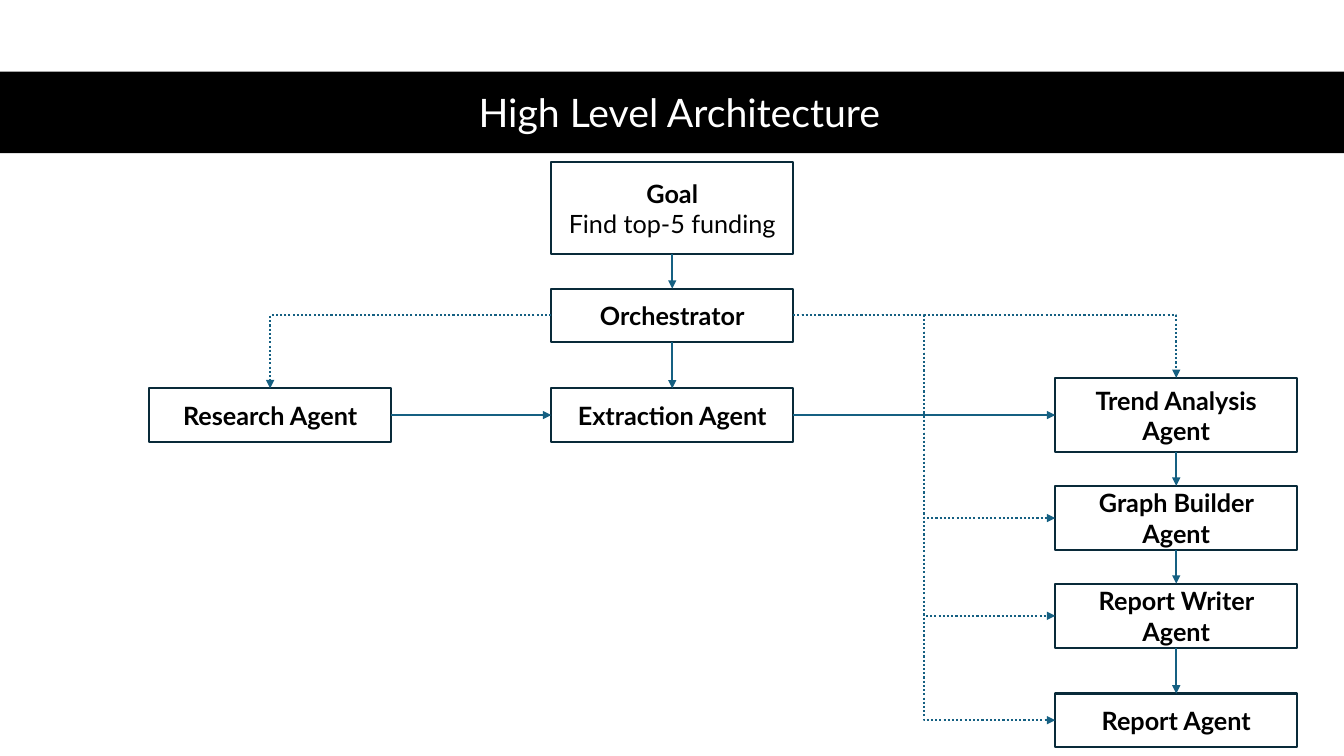
from lxml import etree
from pptx import Presentation
from pptx.dml.color import RGBColor
from pptx.enum.dml import MSO_LINE
from pptx.enum.shapes import MSO_CONNECTOR, MSO_SHAPE
from pptx.enum.text import MSO_ANCHOR, PP_ALIGN
from pptx.oxml.ns import qn
from pptx.util import Pt

RECT = MSO_SHAPE.RECTANGLE
STRAIGHT, ELBOW = MSO_CONNECTOR.STRAIGHT, MSO_CONNECTOR.ELBOW
DOTTED = MSO_LINE.ROUND_DOT
CENTER, MIDDLE = PP_ALIGN.CENTER, MSO_ANCHOR.MIDDLE
TOP, LEFT, BOTTOM, RIGHT = range(4)

COLORS = {"band": "000000", "title": "FFFFFF", "text": "000000",
          "border": "092A39", "arrow": "156082"}
BOX_WIDTH = 172.8
LEFT_COL, MID_COL, RIGHT_COL = 106.6, 393.8, 753.8


class Diagram:
    font = "Lato"
    line_width = 1.5

    def __init__(self, prs):
        self.s = prs.slides.add_slide(prs.slide_layouts[5])

    def color(self, name):
        return RGBColor.from_string(COLORS[name])

    def set_text(self, sp, lines, size, color, bold_first):
        tf = sp.text_frame
        tf.word_wrap = True
        tf.vertical_anchor = MIDDLE
        tf.text = "\n".join(lines)
        for i, p in enumerate(tf.paragraphs):
            p.alignment = CENTER
            p.font.name = self.font
            p.font.size = Pt(size)
            p.font.bold = bold_first and i == 0
            p.font.color.rgb = self.color(color)

    def title(self, text):
        sp = self.s.shapes.title
        sp.left, sp.top, sp.width, sp.height = Pt(43.9), Pt(50.4), Pt(882.7), Pt(58.3)
        self.set_text(sp, [text], 28, "title", False)

    def band(self, top, width, height):
        sp = self.s.shapes.add_shape(RECT, 0, Pt(top), Pt(width), Pt(height))
        sp.shadow.inherit = False
        sp.fill.solid()
        sp.fill.fore_color.rgb = self.color("band")
        sp.line.fill.background()
        self.s.shapes.title._element.addprevious(sp._element)

    def box(self, left, top, height, *lines):
        sp = self.s.shapes.add_shape(RECT, Pt(left), Pt(top), Pt(BOX_WIDTH), Pt(height))
        sp.shadow.inherit = False
        sp.fill.background()
        sp.line.color.rgb = self.color("border")
        sp.line.width = Pt(self.line_width)
        self.set_text(sp, lines, 18, "text", True)
        return sp

    def arrow(self, start, start_side, end, end_side, kind=STRAIGHT):
        cxn = self.s.shapes.add_connector(kind, 0, 0, 0, 0)
        cxn.begin_connect(start, start_side)
        cxn.end_connect(end, end_side)
        cxn.line.color.rgb = self.color("arrow")
        cxn.line.width = Pt(self.line_width)
        if kind == ELBOW:
            cxn.line.dash_style = DOTTED
            if end_side == TOP:
                cxn._element.spPr.find(qn("a:prstGeom")).set("prst", "bentConnector2")
        ln = cxn._element.spPr.find(qn("a:ln"))
        etree.SubElement(ln, qn("a:tailEnd"), type="triangle")
        etree.SubElement(cxn._element.spPr, qn("a:effectLst"))


def main():
    prs = Presentation()
    prs.slide_width, prs.slide_height = Pt(960), Pt(540)
    d = Diagram(prs)
    d.title("High Level Architecture")
    d.band(51.1, 960, 58.3)

    goal = d.box(MID_COL, 115.9, 65.8, "Goal", "Find top-5 funding")
    orchestrator = d.box(MID_COL, 206.2, 38.2, "Orchestrator")
    research = d.box(LEFT_COL, 277.4, 38.2, "Research Agent")
    extraction = d.box(MID_COL, 277.4, 38.2, "Extraction Agent")
    trend = d.box(RIGHT_COL, 269.9, 53.2, "Trend Analysis Agent")
    graph = d.box(RIGHT_COL, 347, 46.1, "Graph Builder Agent")
    writer = d.box(RIGHT_COL, 416.9, 46.1, "Report Writer Agent")
    report = d.box(RIGHT_COL, 495.4, 38.2, "Report Agent")

    for chain in ([goal, orchestrator, extraction], [trend, graph, writer, report]):
        for upper, lower in zip(chain, chain[1:]):
            d.arrow(upper, BOTTOM, lower, TOP)
    d.arrow(research, RIGHT, extraction, LEFT)
    d.arrow(extraction, RIGHT, trend, LEFT)

    d.arrow(orchestrator, LEFT, research, TOP, ELBOW)
    d.arrow(orchestrator, RIGHT, trend, TOP, ELBOW)
    for agent in (graph, writer, report):
        d.arrow(orchestrator, RIGHT, agent, LEFT, ELBOW)

    prs.save("out.pptx")


if __name__ == "__main__":
    main()
